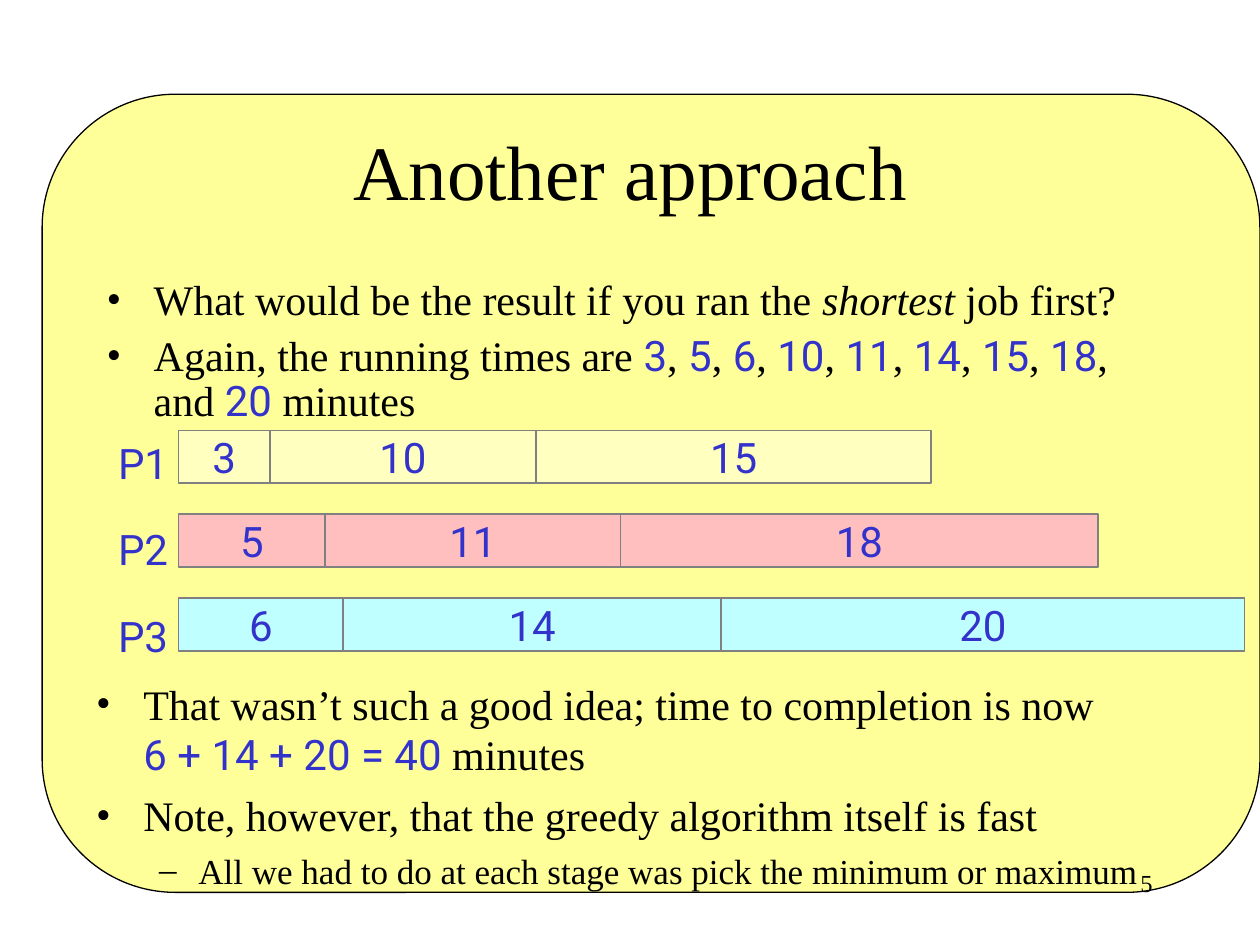
from dataclasses import dataclass

from lxml import etree
from pptx import Presentation
from pptx.dml.color import RGBColor
from pptx.enum.shapes import MSO_SHAPE
from pptx.enum.text import MSO_ANCHOR, MSO_AUTO_SIZE, PP_ALIGN
from pptx.oxml.ns import qn
from pptx.util import Cm, Pt

LEFT, CENTER, RIGHT = PP_ALIGN.LEFT, PP_ALIGN.CENTER, PP_ALIGN.RIGHT
TOP, MIDDLE = MSO_ANCHOR.TOP, MSO_ANCHOR.MIDDLE
RECT, ROUND_RECT = MSO_SHAPE.RECTANGLE, MSO_SHAPE.ROUNDED_RECTANGLE
NO_FIT = MSO_AUTO_SIZE.NONE
TITLE_ONLY = 5


@dataclass(frozen=True)
class Theme:
    serif: str = "Times New Roman"
    sans: str = "Roboto"
    ink: str = "000000"
    number: str = "3333CC"
    panel: str = "FFFF99"
    bar_line: str = "808080"
    p1: str = "FFFFBF"
    p2: str = "FFBFBF"
    p3: str = "BFFFFF"
    title: int = 44
    body: int = 24
    sub: int = 20
    footer: int = 14


T = Theme()

# Bars of each processor: minutes and width in cm
SCHEDULE = [
    ("P1", T.p1, [(3, 1.84), (10, 5.37), (15, 7.96)]),
    ("P2", T.p2, [(5, 2.96), (11, 5.95), (18, 9.63)]),
    ("P3", T.p3, [(6, 3.32), (14, 7.62), (20, 10.55)]),
]


def add_text(p, text, size=T.body, number=False, italic=False):
    """Add one run to a paragraph."""
    r = p.add_run()
    r.text = text
    r.font.size = Pt(size)
    r.font.italic = italic
    r.font.name = T.sans if number else T.serif
    r.font.color.rgb = RGBColor.from_string(T.number if number else T.ink)


def set_frame(sp, anchor=TOP):
    tf = sp.text_frame
    tf.word_wrap = True
    tf.auto_size = NO_FIT
    tf.vertical_anchor = anchor
    tf.margin_left = tf.margin_right = Cm(0.25)
    tf.margin_top = tf.margin_bottom = Cm(0.13)
    return tf


def add_box(s, box):
    return set_frame(s.shapes.add_textbox(*map(Cm, box)))


def add_block(s, kind, box, fill, line, width):
    sp = s.shapes.add_shape(kind, *map(Cm, box))
    sp.shadow.inherit = False
    sp.fill.solid()
    sp.fill.fore_color.rgb = RGBColor.from_string(fill)
    sp.line.color.rgb = RGBColor.from_string(line)
    sp.line.width = Pt(width)
    return sp


def set_bullet(p, char, margin, hang):
    pPr = p._p.get_or_add_pPr()
    pPr.set("marL", str(Cm(margin)))
    pPr.set("indent", str(-Cm(hang)))
    color = etree.SubElement(pPr, qn("a:buClr"))
    etree.SubElement(color, qn("a:srgbClr"), val=T.ink)
    etree.SubElement(pPr, qn("a:buFont"), typeface=T.serif)
    etree.SubElement(pPr, qn("a:buChar"), char=char)


def add_item(tf, first=False, sub=False, spacing=None):
    """Start a bulleted paragraph."""
    p = tf.paragraphs[0] if first else tf.add_paragraph()
    p.level = int(sub)
    p.space_before = Pt(5 if sub else 6)
    if spacing:
        p.line_spacing = spacing
    set_bullet(p, *(("–", 2.06, 0.79) if sub else ("•", 0.95, 0.95)))
    return p


def add_panel_and_title(s, box, text):
    x, y, w, h = box
    panel = add_block(s, ROUND_RECT, box, T.panel, T.ink, 0.74)
    panel.adjustments[0] = 0.167
    title = s.shapes.title
    title.element.addprevious(panel.element)
    title.left, title.top = Cm(x + 1.06), Cm(y + 0.08)
    title.width, title.height = Cm(21.59), Cm(2.9)
    p = set_frame(title, MIDDLE).paragraphs[0]
    p.alignment = CENTER
    add_text(p, text, T.title)


def add_question(s, box):
    tf = add_box(s, box)
    p = add_item(tf, first=True, spacing=0.9)
    add_text(p, "What would be the result if you ran the ")
    add_text(p, "shortest", italic=True)
    add_text(p, " job first?")

    p = add_item(tf, spacing=0.9)
    add_text(p, "Again, the running times are ")
    times = sorted(m for _, _, bars in SCHEDULE for m, _ in bars)
    for minutes in times[:-1]:
        add_text(p, str(minutes), number=True)
        add_text(p, ", and " if minutes == times[-2] else ", ")
    add_text(p, str(times[-1]), number=True)
    add_text(p, " minutes")


def add_schedule(s, box):
    x, y, label_w, h = box
    bar_h, pitch = 1.06, 1.69

    # Bars, laid end to end in each row
    for row, (_, fill, bars) in enumerate(SCHEDULE):
        left = x + 1.47
        for minutes, width in bars:
            bar = (left, y + 0.2 + row * pitch, width, bar_h)
            sp = add_block(s, RECT, bar, fill, T.bar_line, 0.99)
            p = set_frame(sp, MIDDLE).paragraphs[0]
            p.alignment = CENTER
            add_text(p, str(minutes), number=True)
            left += width

    # Processor labels
    tf = add_box(s, (x, y, label_w, h))
    for row, (name, _, _) in enumerate(SCHEDULE):
        p = tf.add_paragraph() if row else tf.paragraphs[0]
        p.line_spacing = 1.2
        p.space_before = Pt(15)
        add_text(p, name, number=True)


def add_conclusion(s, box):
    tf = add_box(s, box)
    p = add_item(tf, first=True)
    add_text(p, "That wasn’t such a good idea; time to completion is now")
    p.add_line_break()
    add_text(p, "6 + 14 + 20 = 40", number=True)
    add_text(p, " minutes")
    add_text(add_item(tf), "Note, however, that the greedy algorithm itself is fast")
    add_text(add_item(tf, sub=True),
             "All we had to do at each stage was pick the minimum or maximum", T.sub)


def add_page_number(s, box, number):
    p = add_box(s, box).paragraphs[0]
    p.alignment = RIGHT
    add_text(p, number, T.footer)


prs = Presentation()
prs.slide_width, prs.slide_height = Cm(25.4), Cm(19.05)
s = prs.slides.add_slide(prs.slide_layouts[TITLE_ONLY])

add_panel_and_title(s, (0.85, 1.9, 24.55, 16.09), "Another approach")
add_question(s, (1.9, 5.5, 21.59, 3.45))
add_conclusion(s, (1.69, 13.55, 21.8, 5.08))
add_schedule(s, (2.13, 8.48, 1.68, 4.95))
add_page_number(s, (18.2, 17.36, 5.29, 1.27), "5")

prs.save("out.pptx")
